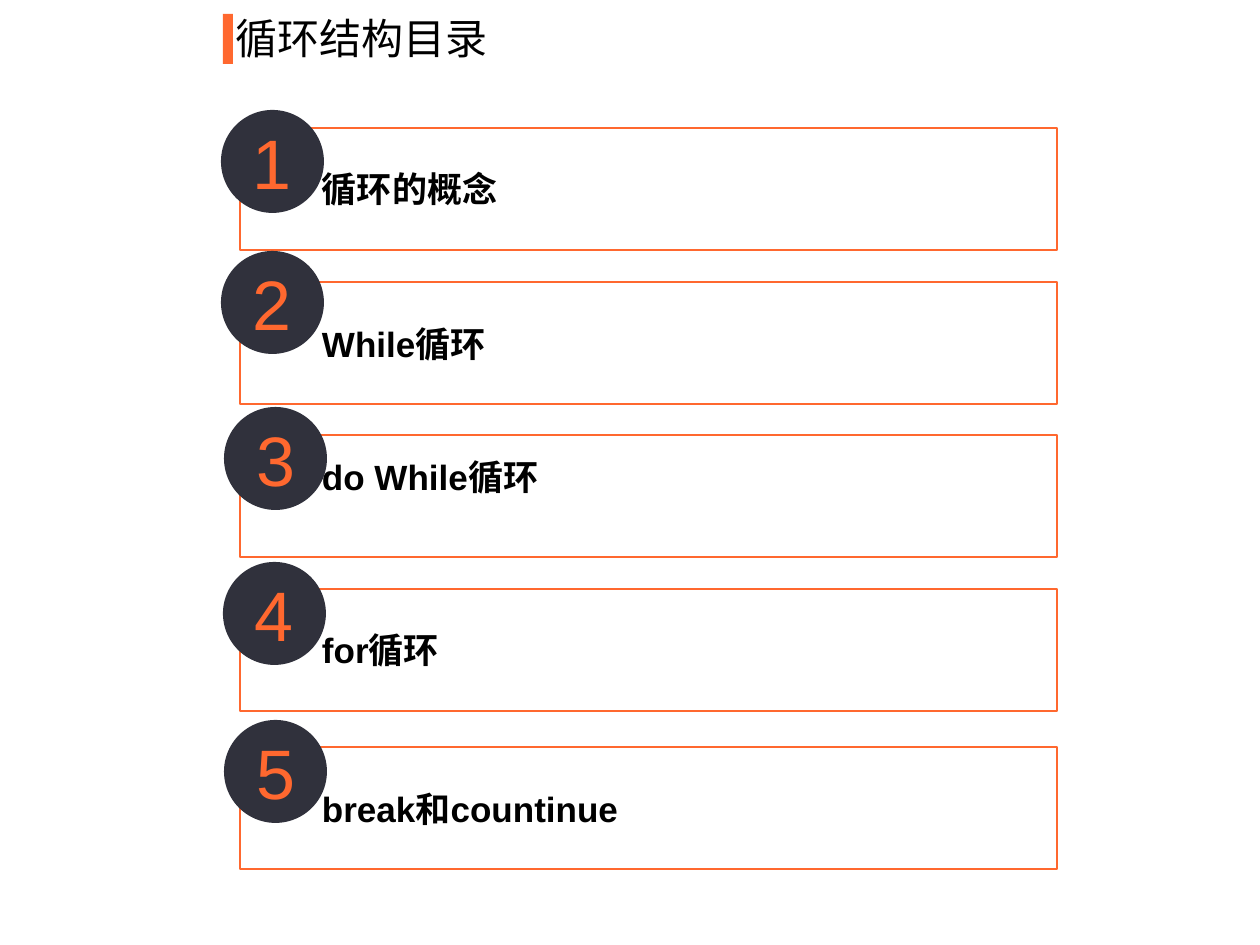
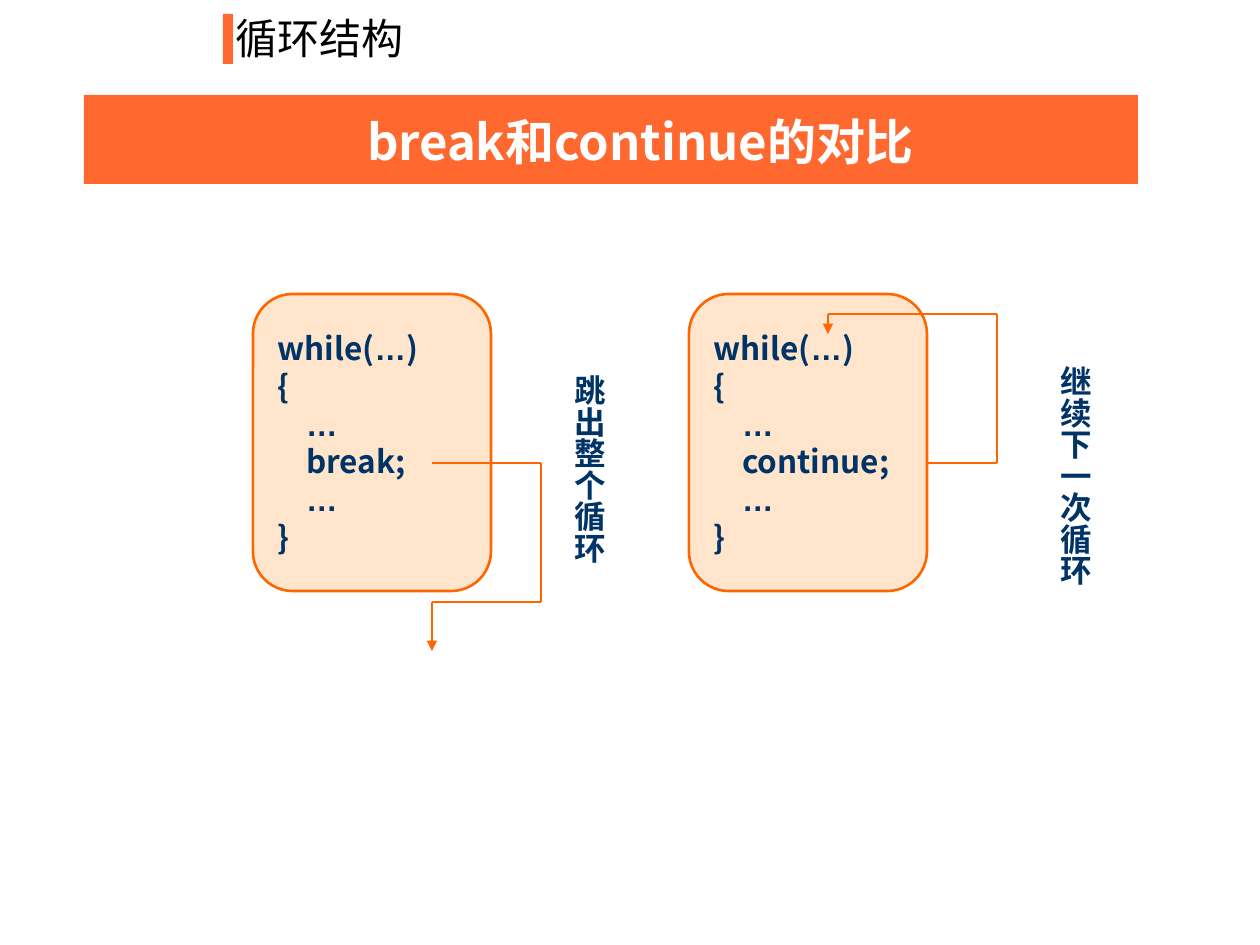
from itertools import pairwise

from lxml import etree
from pptx import Presentation, util as u
from pptx.dml.color import RGBColor
from pptx.enum import shapes, text
from pptx.oxml.ns import qn

ORANGE = RGBColor(0xFF, 0x68, 0x2F)
DARK = RGBColor(0x30, 0x31, 0x3C)
WHITE = RGBColor(0xFF, 0xFF, 0xFF)
BLACK = RGBColor(0, 0, 0)
NAVY = RGBColor(0x00, 0x33, 0x66)
PEACH = RGBColor(0xFF, 0xCC, 0x99)
FLAME = RGBColor(0xFF, 0x66, 0x00)
LATIN, CJK = "Arial", "Noto Sans CJK SC"
LEFT, CENTER = text.PP_ALIGN.LEFT, text.PP_ALIGN.CENTER
TOP, MIDDLE = text.MSO_ANCHOR.TOP, text.MSO_ANCHOR.MIDDLE
RECT = shapes.MSO_SHAPE.RECTANGLE
ELLIPSIS = "…"


def px(n):
    """Turn pixels into EMU."""
    return u.Emu(round(n * 914400 / 126))


def box(*lengths):
    """Turn left, top, width and height in pixels into EMU."""
    return [px(n) for n in lengths]


def write(tf, content, size, color, font=LATIN, bold=False, align=LEFT,
          anchor=TOP, insets=(13, 6, 13, 6), wrap=True):
    """Fill a text frame, one paragraph a line, with ellipses in the Latin font."""
    tf.auto_size = text.MSO_AUTO_SIZE.NONE
    tf.word_wrap = wrap
    tf.vertical_anchor = anchor
    tf.margin_left, tf.margin_top, tf.margin_right, tf.margin_bottom = box(*insets)
    for i, line in enumerate(content.split("\n")):
        p = tf.add_paragraph() if i else tf.paragraphs[0]
        p.alignment = align
        for part in filter(None, line.partition(ELLIPSIS)):
            r = p.add_run()
            r.text = part
            r.font.size = u.Pt(size)
            r.font.bold = bold
            r.font.color.rgb = color
            r.font.name = LATIN if part == ELLIPSIS else font
            ea = etree.SubElement(r.font._element, qn("a:ea"))
            ea.set("typeface", LATIN if part == ELLIPSIS else CJK)


def add_shape(s, kind, place, fill, alpha=None, line=None, width=1.0):
    """Add a flat preset shape with optional opacity and outline."""
    sp = s.shapes.add_shape(kind, *box(*place))
    sp.shadow.inherit = False
    sp.fill.solid()
    sp.fill.fore_color.rgb = fill
    if alpha:
        clr = sp._element.spPr.find(qn("a:solidFill"))[0]
        etree.SubElement(clr, qn("a:alpha")).set("val", str(alpha * 1000))
    if line is None:
        sp.line.fill.background()
    else:
        sp.line.color.rgb = line
        sp.line.width = u.Pt(width)
    return sp


def add_slide(prs, title, width):
    """Add a slide with the accent bar and its title."""
    s = prs.slides.add_slide(prs.slide_layouts[5])
    add_shape(s, RECT, (223, 14, 10, 50), ORANGE)
    sp = s.shapes.title
    sp.left, sp.top, sp.width, sp.height = box(223, 6, width, 63)
    write(sp.text_frame, title, 24, BLACK, CJK)
    return s


def add_card(s, number, label, top, dot_left, dot_top, raise_by=0):
    """Add an outlined card with a numbered dot on its corner."""
    card = add_shape(s, RECT, (240, top, 817, 122), WHITE, 40, ORANGE, 0.75)
    write(card.text_frame, label, 20, BLACK, bold=True, anchor=MIDDLE,
          insets=(82, 10, 10, 10 + 2 * raise_by))
    dot = add_shape(s, shapes.MSO_SHAPE.OVAL,
                    (240 + dot_left, top + dot_top, 103, 103), DARK)
    write(dot.text_frame, str(number), 40, ORANGE, align=CENTER, anchor=MIDDLE)


def add_banner(s, place, label):
    """Add the heading band with its text."""
    left, top, width, height = place
    add_shape(s, RECT, place, ORANGE)
    sp = s.shapes.add_textbox(*box(left + 80, top + 10, width - 101, height - 17))
    write(sp.text_frame, label, 28, WHITE, CJK, bold=True, align=CENTER)


def add_route(s, points):
    """Join points with straight lines and end in an arrowhead."""
    for start, end in pairwise(points):
        c = s.shapes.add_connector(shapes.MSO_CONNECTOR.STRAIGHT, *box(*start, *end))
        c.line.color.rgb = FLAME
        c.line.width = u.Pt(1.5)
        etree.SubElement(c._element.spPr, qn("a:effectLst"))
    etree.SubElement(c.line._get_or_add_ln(), qn("a:tailEnd")).set("type", "triangle")


def add_loop(s, left, top, keyword, route, note, note_left, note_top):
    """Add a loop's code box, its jump route and a vertical note."""
    sp = add_shape(s, shapes.MSO_SHAPE.FLOWCHART_ALTERNATE_PROCESS,
                   (left, top, 238, 297), PEACH, 50, FLAME, 1.5)
    code = f"while(…)\n{{\n    …\n    {keyword};\n    …\n}}"
    write(sp.text_frame, code, 18, NAVY, CJK, bold=True, anchor=MIDDLE, wrap=False)
    add_route(s, [(left + x, top + y) for x, y in route])
    sp = s.shapes.add_textbox(*box(left + note_left, top + note_top, 63, 248))
    write(sp.text_frame, note, 18, NAVY, bold=True, align=CENTER,
          insets=(6, 12, 6, 12))
    sp.text_frame._txBody.bodyPr.set("vert", "eaVert")


def contents_slide(prs):
    """Build the list of topics."""
    s = add_slide(prs, "循环结构目录", 338)
    cards = [
        ("循环的概念", 128, -19, -18),
        ("While循环", 282, -19, -31),
        ("do While循环", 435, -16, -28, 20),
        ("for循环", 589, -17, -27),
        ("break和countinue", 747, -16, -27),
    ]
    for number, card in enumerate(cards, 1):
        add_card(s, number, *card)


def comparison_slide(prs):
    """Build the comparison of the two jump statements."""
    s = add_slide(prs, "循环结构", 325)
    add_banner(s, (84, 95, 1054, 89), "break和continue的对比")
    leave = [(179, 169), (288, 169), (288, 308), (179, 308), (179, 357)]
    repeat = [(238, 169), (308, 169), (308, 20), (139, 20), (139, 40)]
    add_loop(s, 253, 294, "break", leave, "跳出整个循环", 298, 69)
    add_loop(s, 689, 294, "continue", repeat, "继续下一次循环", 348, 60)


def main():
    """Build and save the presentation."""
    prs = Presentation()
    prs.slide_width, prs.slide_height = u.Inches(10), u.Inches(7.5)
    contents_slide(prs)
    comparison_slide(prs)
    prs.save("out.pptx")


if __name__ == "__main__":
    main()
